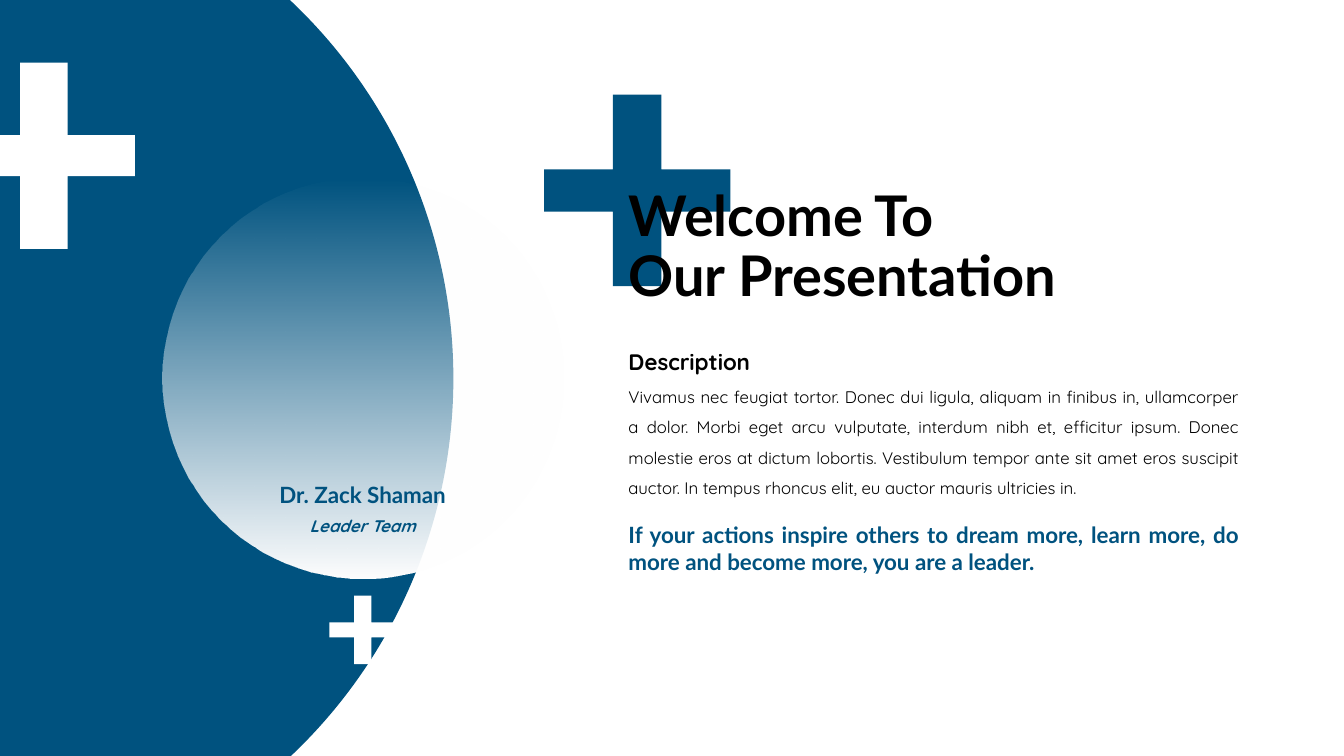
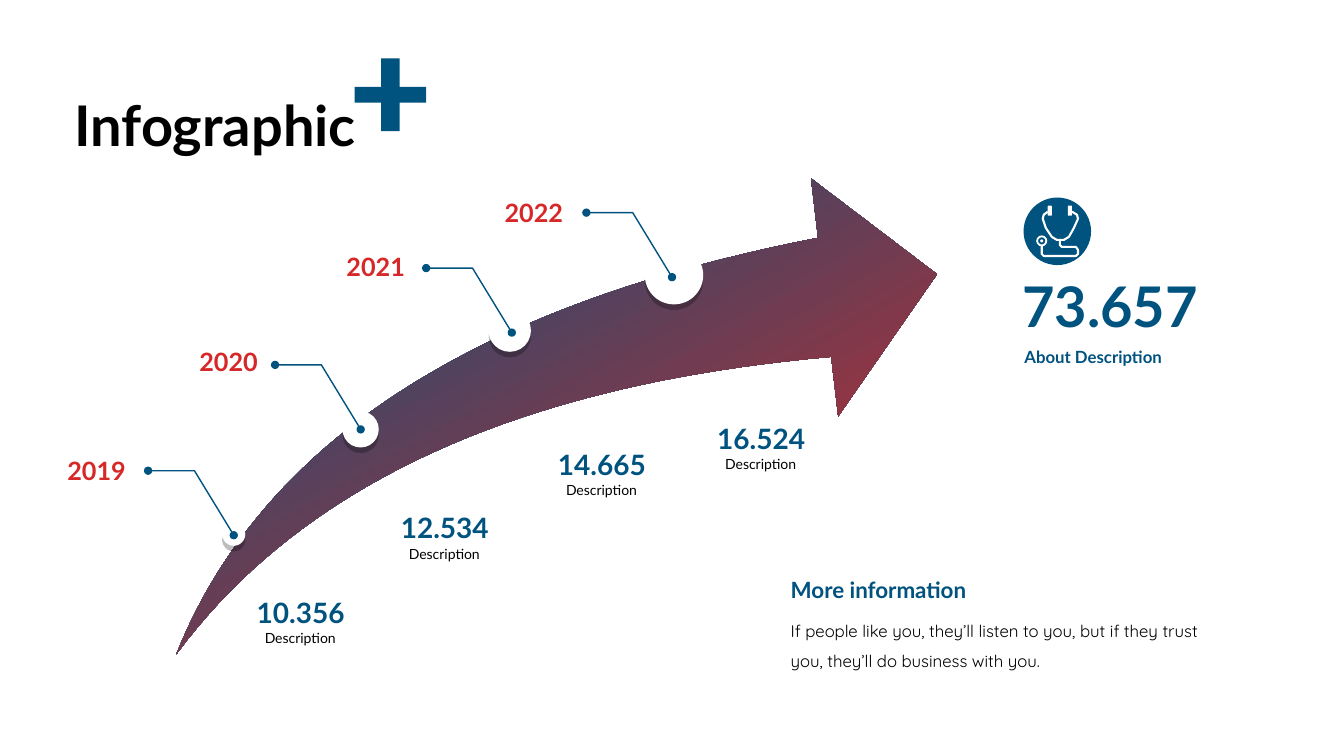
from pptx import Presentation
from pptx.dml.color import RGBColor
from pptx.enum.shapes import MSO_SHAPE
from pptx.enum.text import MSO_ANCHOR, MSO_AUTO_SIZE, PP_ALIGN
from pptx.oxml import parse_xml
from pptx.oxml.ns import nsdecls, qn
from pptx.util import Inches, Pt

OVAL = MSO_SHAPE.OVAL
ROUND = MSO_SHAPE.ROUNDED_RECTANGLE
LEFT = PP_ALIGN.LEFT
MID = PP_ALIGN.CENTER
JUST = PP_ALIGN.JUSTIFY
GROW = MSO_AUTO_SIZE.SHAPE_TO_FIT_TEXT
FIXED = MSO_AUTO_SIZE.NONE
CENTER = MSO_ANCHOR.MIDDLE

BLUE = RGBColor(0x00, 0x52, 0x7F)
RED = RGBColor(0xD6, 0x28, 0x28)
WHITE = RGBColor(0xFF, 0xFF, 0xFF)
BLACK = RGBColor(0x00, 0x00, 0x00)
LATO = "Lato"
QUICK = "Quicksand"


def put(slide, at, lines, size, color, font=LATO, bold=True, italic=False,
        align=LEFT, space=1.0, wrap=True, title=False):
    box = slide.shapes.title if title else slide.shapes.add_textbox(0, 0, 0, 0)
    box.left, box.top, box.width, box.height = map(Inches, at)
    frame = box.text_frame
    frame.word_wrap = wrap
    frame.auto_size = FIXED if title else GROW
    if title:
        frame.vertical_anchor = CENTER
        slide.shapes._spTree.append(box._element)
    para = frame.paragraphs[0]
    para.alignment = align
    para.line_spacing = space
    for i, line in enumerate(lines.split("\n")):
        if i:
            para.add_line_break()
        run = para.add_run()
        run.text = line
        run.font.size = Pt(size)
        run.font.name = font
        run.font.bold = bold
        run.font.italic = italic
        run.font.color.rgb = color


def draw(slide, form, fill=None, line=None, width=1):
    if isinstance(form, list):
        pts = [(Inches(x), Inches(y)) for x, y in form]
        path = slide.shapes.build_freeform(*pts[0], scale=1.0)
        path.add_line_segments(pts[1:], close=line is None)
        shape = path.convert_to_shape()
    else:
        kind, *at = form
        shape = slide.shapes.add_shape(kind, *map(Inches, at))
    shape.shadow.inherit = False
    if fill is None:
        shape.fill.background()
    else:
        shape.fill.solid()
        shape.fill.fore_color.rgb = fill
    if line is None:
        shape.line.fill.background()
    else:
        shape.line.color.rgb = line
        shape.line.width = Pt(width)
    return shape


deck = Presentation()
deck.slide_width = Inches(13.34)
deck.slide_height = Inches(7.5)
layout = deck.slide_layouts[5]
intro = deck.slides.add_slide(layout)
chart = deck.slides.add_slide(layout)

draw(intro, (OVAL, -5.81, -1.4, 10.31, 10.31), BLUE)

for slide, x, y, w, h, color in [
    (intro, 5.4, 0.94, 1.85, 1.9, BLUE),
    (intro, -0.47, 0.62, 1.81, 1.85, WHITE),
    (intro, 3.27, 5.91, 0.66, 0.68, WHITE),
    (chart, 3.52, 0.58, 0.71, 0.72, BLUE),
]:
    x1, x2 = x + 0.37 * w, x + 0.63 * w
    y1, y2 = y + 0.39 * h, y + 0.61 * h
    draw(slide, [
        (x1, y), (x2, y), (x2, y1), (x + w, y1), (x + w, y2), (x2, y2),
        (x2, y + h), (x1, y + h), (x1, y2), (x, y2), (x, y1), (x1, y1),
    ], color)

glow = draw(intro, (OVAL, 1.61, 1.76, 3.98, 3.98), WHITE)

curves = []
for ends in [
    ((1.75, 6.49), (2.59, 4.39), (4.71, 3.02), (8.12, 2.36)),
    ((8.25, 3.54), (5.17, 3.81), (3.01, 4.79), (1.75, 6.49)),
]:
    curve = []
    for i in range(41):
        t = i / 40
        parts = ((1 - t) ** 3, 3 * t * (1 - t) ** 2, 3 * t * t * (1 - t), t ** 3)
        curve.append(tuple(sum(k * p[n] for k, p in zip(parts, ends))
                           for n in (0, 1)))
    curves.append(curve)
head = [(8.05, 1.77), (9.3, 2.72), (8.32, 4.13)]
arrow = draw(chart, curves[0] + head + curves[1][:-1], BLUE)

for shape, angle, tones in [
    (glow, 270, (WHITE, WHITE)),
    (arrow, 300, (BLUE, RED)),
]:
    shape.fill.gradient()
    shape.fill.gradient_angle = angle
    for stop, tone in zip(shape.fill.gradient_stops, tones):
        stop.color.rgb = tone
clear = next(glow._element.iter(qn("a:srgbClr")))
clear.append(parse_xml(f'<a:alpha {nsdecls("a")} val="0"/>'))

put(intro, (6.14, 3.69, 6.26, 1.3),
    "Vivamus nec feugiat tortor. Donec dui ligula, aliquam in finibus in, "
    "ullamcorper a dolor. Morbi eget arcu vulputate, interdum nibh et, "
    "efficitur ipsum. Donec molestie eros at dictum lobortis. Vestibulum "
    "tempor ante sit amet eros suscipit auctor. In tempus rhoncus elit, eu "
    "auctor mauris ultricies in.",
    12, BLACK, QUICK, bold=False, align=JUST, space=1.5)
put(intro, (6.14, 5.12, 6.26, 0.64),
    "If your actions inspire others to dream more, learn more, do more and "
    "become more, you are a leader.", 16, BLUE, align=JUST)
put(intro, (6.14, 3.27, 2.96, 0.5), "Description", 16, BLACK, QUICK,
    align=JUST, space=1.5)
put(intro, (2.32, 4.59, 2.56, 0.5), "Dr. Zack Shaman", 16, BLUE,
    align=MID, space=1.5)
put(intro, (2.32, 4.97, 2.56, 0.4), "Leader Team", 12, BLUE, QUICK,
    italic=True, align=MID, space=1.5)

for year, left, top, x, y, cx, cy, size in [
    ("2019", 0.57, 4.47, 2.32, 5.31, 2.32, 5.3, 0.23),
    ("2020", 1.88, 3.39, 3.58, 4.26, 3.58, 4.26, 0.36),
    ("2021", 3.34, 2.44, 5.08, 3.3, 5.06, 3.28, 0.42),
    ("2022", 4.91, 1.91, 6.67, 2.75, 6.69, 2.73, 0.58),
]:
    disc = draw(chart, (OVAL, cx - size / 2, cy - size / 2, size, size), WHITE)
    disc._element.spPr.find(qn("a:effectLst")).append(parse_xml(
        f'<a:outerShdw {nsdecls("a")} blurRad="0" dist="50800" dir="5400000" '
        'algn="t" rotWithShape="0"><a:srgbClr val="000000">'
        '<a:alpha val="25000"/></a:srgbClr></a:outerShdw>'))
    lead = draw(chart, [(x, y), (x - 0.39, y - 0.64), (x - 0.85, y - 0.64)],
                line=BLUE)
    for end in ("headEnd", "tailEnd"):
        lead.line._get_or_add_ln().append(
            parse_xml(f'<a:{end} {nsdecls("a")} type="oval"/>'))
    put(chart, (left, top, 0.78, 0.4), year, 18, RED, wrap=False)

for value, x, y in [
    ("10.356", 2.45, 5.86),
    ("12.534", 3.88, 5.02),
    ("14.665", 5.44, 4.39),
    ("16.524", 7.02, 4.13),
]:
    put(chart, (x, y, 1.07, 0.44), value, 20, BLUE, wrap=False)
    put(chart, (x + 0.08, y + 0.34, 0.93, 0.27), "Description", 10, BLACK,
        bold=False, wrap=False)

put(chart, (10.05, 2.64, 1.94, 0.77), "73.657", 40, BLUE, wrap=False)
put(chart, (10.07, 3.39, 2.02, 0.3), "About Description", 12, BLUE)
put(chart, (7.75, 6.01, 4.54, 0.7),
    "If people like you, they’ll listen to you, but if they trust you, "
    "they’ll do business with you.", 12, BLACK, QUICK, bold=False, space=1.5)
put(chart, (7.75, 5.67, 2.99, 0.37), "More information", 16, BLUE)

draw(chart, (OVAL, 10.16, 1.96, 0.67, 0.67), BLUE)
for tube in [
    [(10.4, 2.1), (10.36, 2.13), (10.35, 2.17), (10.38, 2.26), (10.44, 2.35),
     (10.49, 2.38), (10.56, 2.38), (10.61, 2.35), (10.66, 2.26), (10.7, 2.17),
     (10.69, 2.13), (10.64, 2.1)],
    [(10.52, 2.38), (10.52, 2.43), (10.54, 2.45), (10.68, 2.45),
     (10.7, 2.48), (10.7, 2.52), (10.68, 2.54), (10.36, 2.54), (10.34, 2.52),
     (10.34, 2.43)],
]:
    draw(chart, tube, line=WHITE, width=1.5)
for x in (10.4, 10.6):
    draw(chart, (ROUND, x, 2.04, 0.04, 0.1), WHITE)
for size, color in ((0.11, WHITE), (0.07, BLUE), (0.03, WHITE)):
    draw(chart, (OVAL, 10.34 - size / 2, 2.39 - size / 2, size, size), color)

for slide, at, name in [
    (intro, (6.14, 1.74, 4.86, 1.45), "Welcome To \nOur Presentation"),
    (chart, (0.64, 0.55, 5.09, 1.45), "Infographic"),
]:
    put(slide, at, name, 40, BLACK, space=0.9, title=True)

deck.save("out.pptx")
